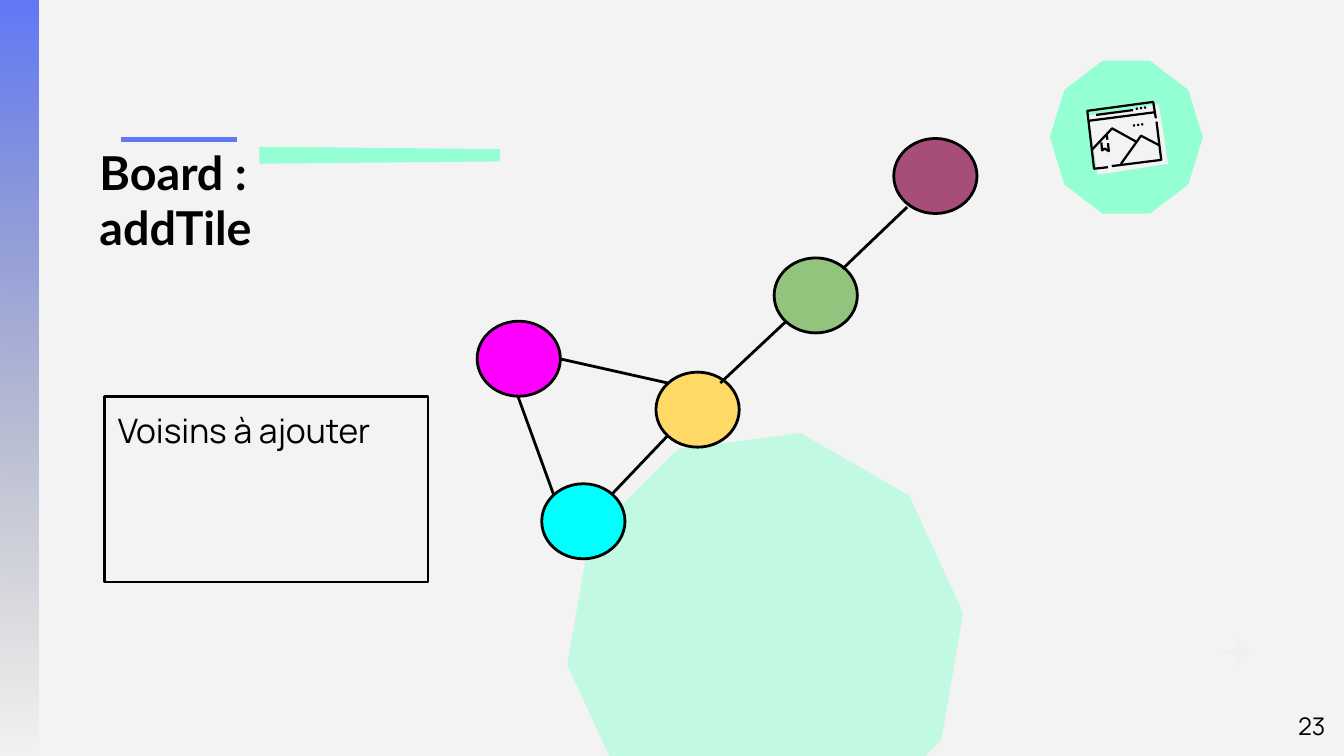
from lxml import etree
from pptx import Presentation
from pptx.dml.color import RGBColor
from pptx.enum.shapes import MSO_CONNECTOR, MSO_SHAPE
from pptx.enum.text import MSO_ANCHOR, MSO_AUTO_SIZE, PP_ALIGN
from pptx.oxml.ns import qn
from pptx.util import Pt

STRAIGHT = MSO_CONNECTOR.STRAIGHT
RECTANGLE, OVAL, DECAGON = MSO_SHAPE.RECTANGLE, MSO_SHAPE.OVAL, MSO_SHAPE.DECAGON
TOP, BOTTOM = MSO_ANCHOR.TOP, MSO_ANCHOR.BOTTOM
LEFT, RIGHT = PP_ALIGN.LEFT, PP_ALIGN.RIGHT
NO_FIT = MSO_AUTO_SIZE.NONE

BLACK, PAPER, BLUE, MINT = "000000", "F3F3F3", "6178F6", "95FFD4"


def tint(color, value, alpha=None, shape=None):
    color.rgb = RGBColor.from_string(value)
    if alpha is not None:
        for node in shape._element.spPr.iter(qn("a:srgbClr")):
            if node.get("val") == value:
                etree.SubElement(node, qn("a:alpha")).set("val", str(alpha * 1000))


def trace(points, closed):
    (first_x, first_y), *rest = points
    builder = page.shapes.build_freeform(Pt(first_x), Pt(first_y))
    builder.add_line_segments([(Pt(x), Pt(y)) for x, y in rest], close=closed)
    outline = builder.convert_to_shape()
    outline.shadow.inherit = False
    return outline


deck = Presentation()
deck.slide_width, deck.slide_height = Pt(720), Pt(405)
page = deck.slides.add_slide(deck.slide_layouts[5])
page.background.fill.solid()
tint(page.background.fill.fore_color, PAPER)

# Background decoration
band = page.shapes.add_shape(RECTANGLE, 0, 0, Pt(20.4), Pt(405))
band.shadow.inherit = False
band.line.fill.background()
band.fill.gradient()
band.fill.gradient_angle = 270
start, end = band.fill.gradient_stops
start.position, end.position = 0, 1
tint(start.color, BLUE)
tint(end.color, "737373", 0, band)

star_x, star_y = 663.1, 349.2
star = []
for dx, dy in [(0, -1), (1, 0), (0, 1), (-1, 0)]:
    for along, across in [(9, 0), (5.5, 0.7), (2.3, 2.3), (0.7, 5.5)]:
        star.append((star_x + along * dx - across * dy, star_y + along * dy + across * dx))

ribbon = [(138.9, 78.6), (138.9, 87.7), (267.6, 86.5), (267.9, 79.9)]
for points, color in [(star, "F1EFF2"), (ribbon, MINT)]:
    outline = trace(points, True)
    outline.fill.solid()
    tint(outline.fill.fore_color, color)
    outline.line.fill.background()

for left, top, size, rotation, alpha in [(303.1, 235.4, 213.8, 352.5, 53),
                                         (562.4, 32.5, 82, 0, None)]:
    decagon = page.shapes.add_shape(DECAGON, Pt(left), Pt(top), Pt(size), Pt(size))
    decagon.shadow.inherit = False
    decagon.rotation = rotation
    decagon.fill.solid()
    tint(decagon.fill.fore_color, MINT, alpha, decagon)
    decagon.line.fill.background()

# Browser window icon
sheet = trace([(583.2, 61.9), (588, 93.6), (625.7, 87.8), (620.8, 55.9)], True)
sheet.fill.solid()
tint(sheet.fill.fore_color, PAPER)
sheet.line.fill.background()

icon_strokes = [
    [(619.2, 63.4), (617.8, 54.6), (582.5, 59.4), (586.1, 90.4), (593.6, 89.6)],
    [(595.6, 89), (622.1, 85.7), (619.6, 65.2)],
    [(582.8, 64.8), (619.2, 60.1)],
    [(587.2, 61.6), (607, 59)],
    [(585.3, 79.9), (595.8, 68.8), (608.8, 76)],
    [(600.5, 87.8), (611.3, 72.7), (621, 77.8)],
    [(590, 76.3), (590.4, 80.6), (591.8, 79.6), (594, 81), (593.6, 76.7)],
    [(592.9, 72), (593.3, 74.9)],
]
for points in icon_strokes:
    stroke = trace(points, False)
    stroke.fill.background()
    tint(stroke.line.color, BLACK)
    stroke.line.width = Pt(1.2)

for left, top in [(608.4, 57.6), (606.9, 66.6)]:
    for step in range(3):
        dot = page.shapes.add_shape(
            OVAL, Pt(left + 2.2 * step), Pt(top - 0.3 * step), Pt(1.3), Pt(1.3))
        dot.shadow.inherit = False
        dot.fill.solid()
        tint(dot.fill.fore_color, BLACK)
        dot.line.fill.background()

# Tile graph
for left, top, color in [
    (290.2, 259.2, "00FFFF"),
    (351.4, 199.4, "FFD966"),
    (414.7, 138.2, "93C47D"),
    (478.8, 74.2, "A64D79"),
    (255.6, 172.1, "FF00FF"),
]:
    tile = page.shapes.add_shape(OVAL, Pt(left), Pt(top), Pt(44.6), Pt(40.2))
    tile.shadow.inherit = False
    tile.fill.solid()
    tint(tile.fill.fore_color, color)
    tint(tile.line.color, BLACK)
    tile.line.width = Pt(1.5)

for x1, y1, x2, y2, color, width in [
    (126.8, 74.8, 64.8, 74.8, BLUE, 3),
    (357.8, 233.3, 327.6, 265, BLACK, 1.5),
    (385.9, 205.2, 421.2, 172.1, BLACK, 1.5),
    (451.4, 144, 486, 110.9, BLACK, 1.5),
    (277.5, 212.4, 296.6, 265, BLACK, 1.5),
    (299.8, 192.2, 357.8, 205.2, BLACK, 1.5),
]:
    link = page.shapes.add_connector(STRAIGHT, Pt(x1), Pt(y1), Pt(x2), Pt(y2))
    tint(link.line.color, color)
    link.line.width = Pt(width)
    etree.SubElement(link._element.spPr, qn("a:effectLst"))

# Text
title = page.shapes.title
title.left, title.top, title.width, title.height = Pt(46.1), Pt(107.3), Pt(172.8), Pt(36.7)

neighbours = page.shapes.add_shape(RECTANGLE, Pt(56.1), Pt(212.4), Pt(173.2), Pt(99.4))
neighbours.shadow.inherit = False
neighbours.fill.background()
tint(neighbours.line.color, BLACK)
neighbours.line.width = Pt(1.5)

number = page.shapes.add_textbox(Pt(673.9), Pt(373.9), Pt(43.2), Pt(31))

for box, text, font, size, bold, align, anchor in [
    (title, "Board : addTile", "Lato", 25, True, LEFT, BOTTOM),
    (neighbours, "Voisins à ajouter", "Manrope", 18, False, LEFT, TOP),
    (number, "23", "Manrope", 13, False, RIGHT, TOP),
]:
    frame = box.text_frame
    frame.text = text
    frame.word_wrap = True
    frame.auto_size = NO_FIT
    frame.vertical_anchor = anchor
    frame.margin_left = frame.margin_right = Pt(7.2)
    frame.margin_top = frame.margin_bottom = Pt(7.2)
    para = frame.paragraphs[0]
    para.alignment = align
    para.space_before = Pt(0)
    span = para.runs[0]
    span.font.name = font
    span.font.size = Pt(size)
    span.font.bold = bold
    tint(span.font.color, BLACK)

deck.save("out.pptx")
